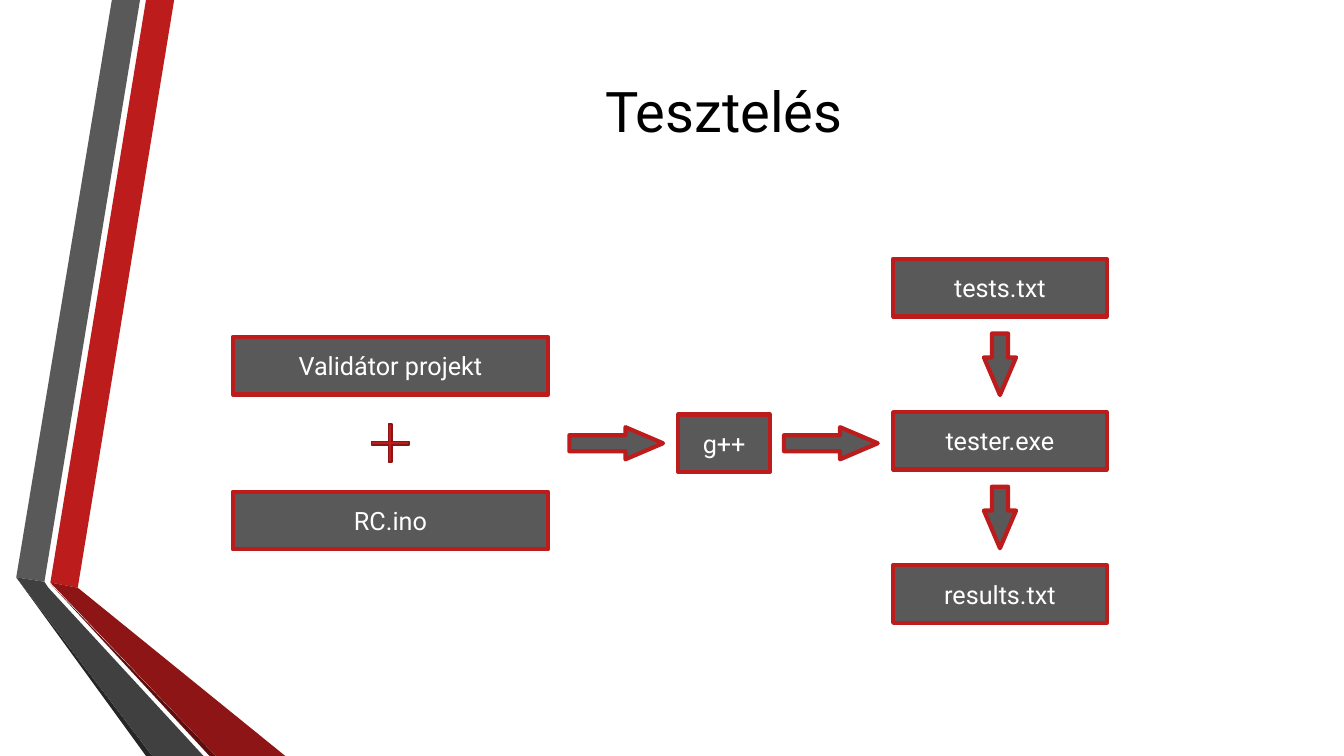
from dataclasses import dataclass

from pptx import Presentation
from pptx import util as u
from pptx.dml.color import RGBColor
from pptx.enum import shapes, text


@dataclass(frozen=True)
class Theme:
    """Colours, font and type sizes of the slide."""
    font: str = "Roboto"
    title_size: int = 40
    label_size: int = 18
    black: str = "000000"
    white: str = "FFFFFF"
    gray: str = "595959"
    gray_dark: str = "404040"
    gray_edge: str = "262626"
    red: str = "BC1C1C"
    red_dark: str = "8D1515"
    red_edge: str = "5E0E0E"
    plus_line: str = "8B1515"


class Slide:
    """Draws themed elements on one slide, with lengths in centimetres."""

    def __init__(self, prs, theme):
        self.theme = theme
        self.s = prs.slides.add_slide(prs.slide_layouts[5])

    def label(self, sp, words, size, color):
        tf = sp.text_frame
        tf.text = words
        tf.word_wrap = True
        tf.vertical_anchor = text.MSO_ANCHOR.MIDDLE
        p = tf.paragraphs[0]
        p.alignment = text.PP_ALIGN.CENTER
        r = p.runs[0]
        r.font.name = self.theme.font
        r.font.size = u.Pt(size)
        r.font.color.rgb = RGBColor.from_string(color)

    def title(self, words, left, top, width, height):
        sp = self.s.shapes.title
        sp.left, sp.top = u.Cm(left), u.Cm(top)
        sp.width, sp.height = u.Cm(width), u.Cm(height)
        self.label(sp, words, self.theme.title_size, self.theme.black)

    def band(self, color, points):
        start, *rest = [(u.Cm(x), u.Cm(y)) for x, y in points]
        builder = self.s.shapes.build_freeform(*start)
        builder.add_line_segments(rest, close=True)
        sp = builder.convert_to_shape()
        sp.shadow.inherit = False
        sp.fill.solid()
        sp.fill.fore_color.rgb = RGBColor.from_string(color)
        sp.line.fill.background()

    def shape(self, kind, cx, cy, width, height, fill, line, weight):
        sp = self.s.shapes.add_shape(
            kind, u.Cm(cx - width / 2), u.Cm(cy - height / 2), u.Cm(width), u.Cm(height))
        sp.shadow.inherit = False
        sp.fill.solid()
        sp.fill.fore_color.rgb = RGBColor.from_string(fill)
        sp.line.color.rgb = RGBColor.from_string(line)
        sp.line.width = u.Pt(weight)
        return sp

    def box(self, words, cx, cy, width):
        t = self.theme
        sp = self.shape(shapes.MSO_SHAPE.RECTANGLE, cx, cy, width, 1.45, t.gray, t.red, 3)
        self.label(sp, words, t.label_size, t.white)

    def arrow(self, cx, cy, length, rotation=0):
        t = self.theme
        sp = self.shape(shapes.MSO_SHAPE.RIGHT_ARROW, cx, cy, length, 0.81, t.gray, t.red, 3)
        sp.adjustments[1] = 1.17
        sp.rotation = rotation

    def plus(self, cx, cy, size):
        t = self.theme
        sp = self.shape(shapes.MSO_SHAPE.MATH_PLUS, cx, cy, size, size, t.red, t.plus_line, 1.25)
        sp.adjustments[0] = 0.07


def main():
    """Build the testing workflow slide."""
    prs = Presentation()
    prs.slide_width, prs.slide_height = u.Cm(33.87), u.Cm(19.05)
    t = Theme()
    slide = Slide(prs, t)

    bottom = 19.05
    bands = [
        (t.red, [(1.27, 14.68), (1.96, 14.81), (4.39, 0), (3.68, 0)]),
        (t.gray, [(3.53, 0), (2.82, 0), (0.41, 14.55), (1.12, 14.66)]),
        (t.gray_edge, [(0.41, 14.55), (3.68, bottom), (3.84, bottom)]),
        (t.red_edge, [(1.27, 14.71), (5.28, bottom), (5.44, bottom)]),
        (t.red_dark, [(1.27, 14.68), (5.44, bottom), (7.19, bottom), (1.96, 14.81)]),
        (t.gray_dark, [(5.13, bottom), (1.22, 14.81), (1.12, 14.66), (0.41, 14.55),
                       (3.84, bottom)]),
    ]
    for color, points in bands:
        slide.band(color, points)

    slide.title("Tesztelés", 4.32, 0.33, 27.84, 4.88)

    source_x, compiler_x, file_x, middle = 9.84, 18.25, 25.2, 11.17
    for words, offset in (("Validátor projekt", -1.95), ("RC.ino", 1.95)):
        slide.box(words, source_x, middle + offset, 7.95)
    slide.plus(source_x, middle, 1.3)

    slide.box("g++", compiler_x, middle, 2.31)
    for x in (15.53, 20.94):
        slide.arrow(x, middle, 2.36)

    first, pitch = 7.25, 3.86
    for i, words in enumerate(("tests.txt", "tester.exe", "results.txt")):
        y = first + i * pitch
        slide.box(words, file_x, y, 5.38)
        if i:
            slide.arrow(file_x, y - pitch / 2, 1.55, 90)

    prs.save("out.pptx")


if __name__ == "__main__":
    main()
